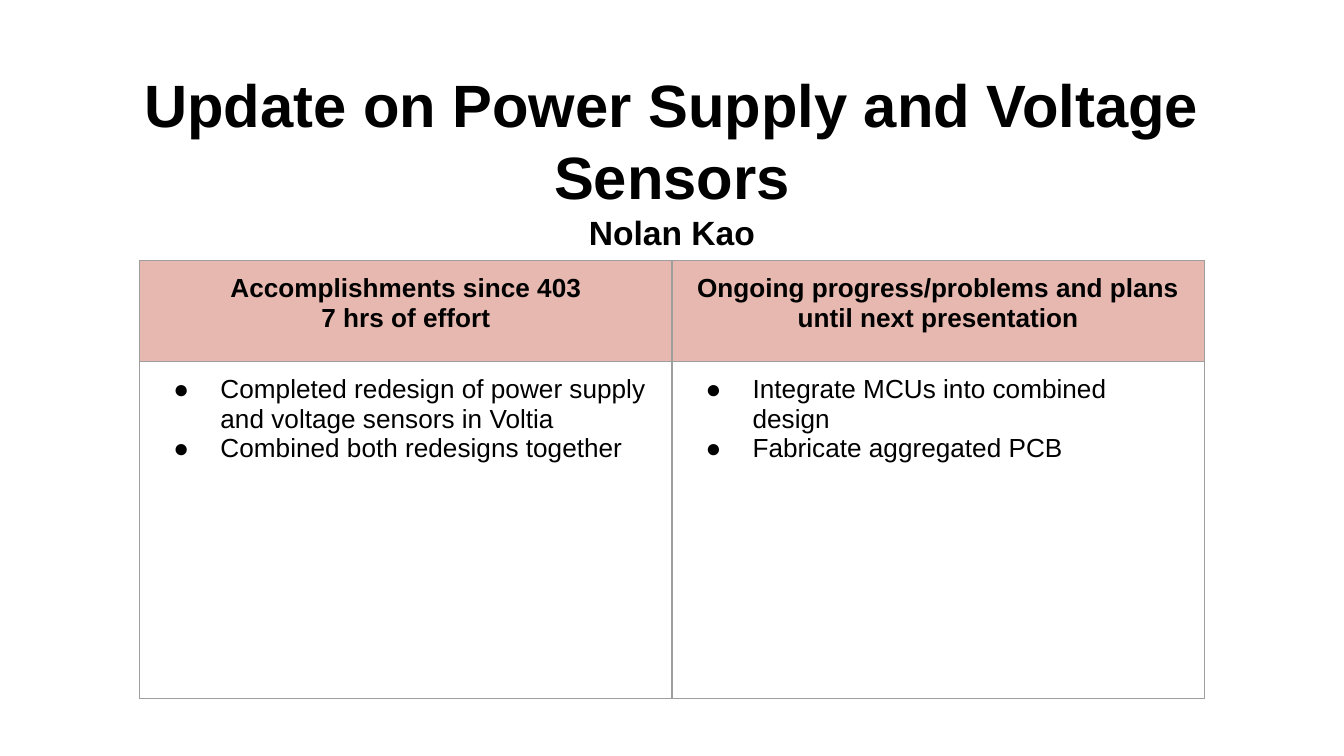
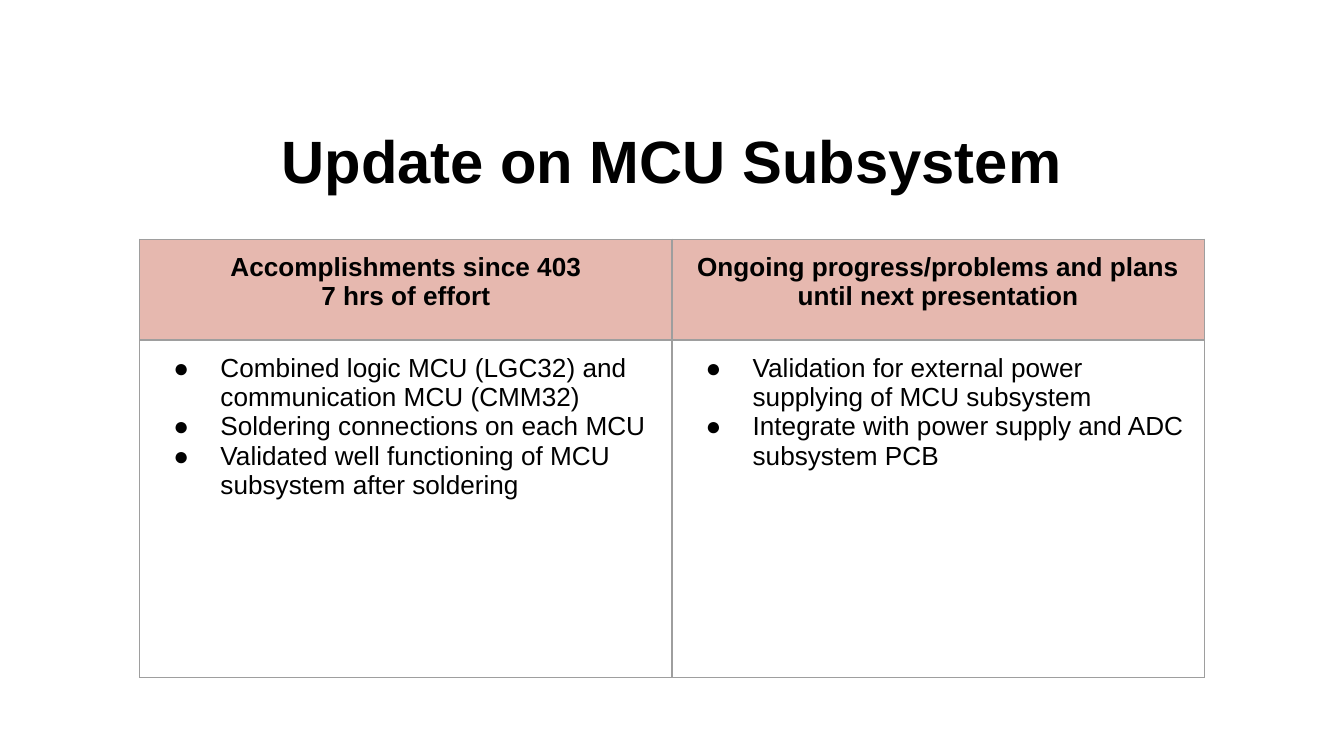
import dataclasses

import lxml.etree
import pptx
import pptx.dml.color
import pptx.enum.text
import pptx.oxml.ns
import pptx.util

Inches = pptx.util.Inches
Pt = pptx.util.Pt
CENTER = pptx.enum.text.PP_ALIGN.CENTER
qn = pptx.oxml.ns.qn


@dataclasses.dataclass(frozen=True)
class Theme:
    font: str = "Arial"
    ink: str = "000000"
    header_fill: str = "E6B8AF"
    border: str = "9E9E9E"
    border_width: float = 0.75
    title_size: int = 32
    presenter_size: int = 18
    table_size: int = 14
    inset: float = 0.1


THEME = Theme()
TITLE_ONLY = 5

# Content: title, presenter, table top, accomplishments, plans
HEADERS = [
    ["Accomplishments since 403", "7 hrs of effort"],
    ["Ongoing progress/problems and plans until next presentation"],
]
UPDATES = [
    ("Update on Power Supply and Voltage Sensors", "Nolan Kao", 1.94,
     ["Completed redesign of power supply and voltage sensors in Voltia",
      "Combined both redesigns together"],
     ["Integrate MCUs into combined design",
      "Fabricate aggregated PCB"]),
    ("Update on MCU Subsystem", None, 1.78,
     ["Combined logic MCU (LGC32) and communication MCU (CMM32)",
      "Soldering connections on each MCU",
      "Validated well functioning of MCU subsystem after soldering"],
     ["Validation for external power supplying of MCU subsystem",
      "Integrate with power supply and ADC subsystem PCB"]),
]


def rgb(color):
    return pptx.dml.color.RGBColor.from_string(color)


def add_run(paragraph, text, size, bold):
    run = paragraph.add_run()
    run.text = text
    run.font.name = THEME.font
    run.font.size = Pt(size)
    run.font.bold = bold
    run.font.color.rgb = rgb(THEME.ink)


def paragraphs_for(frame, lines):
    """Pair each line with a paragraph, starting with the existing one."""
    for index, line in enumerate(lines):
        yield (frame.add_paragraph() if index else frame.paragraphs[0]), line


def set_insets(target):
    target.margin_left = target.margin_right = Inches(THEME.inset)
    target.margin_top = target.margin_bottom = Inches(THEME.inset)


def set_title(slide, title, presenter):
    heading = slide.shapes.title
    heading.left, heading.top = Inches(0.5), Inches(0.86)
    heading.width, heading.height = Inches(9), Inches(0.66)
    frame = heading.text_frame
    frame.word_wrap = True
    frame.auto_size = pptx.enum.text.MSO_AUTO_SIZE.NONE
    frame.vertical_anchor = pptx.enum.text.MSO_ANCHOR.MIDDLE
    set_insets(frame)
    lines = [(title, THEME.title_size)]
    if presenter:
        lines.append((presenter, THEME.presenter_size))
    for paragraph, (text, size) in paragraphs_for(frame, lines):
        paragraph.alignment = CENTER
        add_run(paragraph, text, size, True)


def add_bullet(paragraph):
    properties = paragraph._p.get_or_add_pPr()
    properties.set("marL", str(Inches(0.5)))
    properties.set("indent", str(Inches(-0.35)))
    color = lxml.etree.SubElement(properties, qn("a:buClr"))
    lxml.etree.SubElement(color, qn("a:srgbClr"), val=THEME.ink)
    lxml.etree.SubElement(properties, qn("a:buFont"), typeface=THEME.font)
    lxml.etree.SubElement(properties, qn("a:buChar"), char="●")


def add_borders(cell):
    properties = cell._tc.get_or_add_tcPr()
    for position, side in enumerate(("lnL", "lnR", "lnT", "lnB")):
        line = lxml.etree.Element(qn(f"a:{side}"), w=str(Pt(THEME.border_width)))
        fill = lxml.etree.SubElement(line, qn("a:solidFill"))
        lxml.etree.SubElement(fill, qn("a:srgbClr"), val=THEME.border)
        properties.insert(position, line)


def fill_cell(cell, lines, is_header):
    set_insets(cell)
    if is_header:
        cell.fill.solid()
        cell.fill.fore_color.rgb = rgb(THEME.header_fill)
    else:
        cell.fill.background()
    add_borders(cell)
    for paragraph, text in paragraphs_for(cell.text_frame, lines):
        if is_header:
            paragraph.alignment = CENTER
        else:
            add_bullet(paragraph)
        add_run(paragraph, text, THEME.table_size, is_header)


def add_progress_table(slide, top, rows):
    column_width, row_heights = 3.96, (0.75, 2.51)
    progress = slide.shapes.add_table(
        2, 2, Inches(1.04), Inches(top),
        Inches(2 * column_width), Inches(sum(row_heights))).table
    progress.first_row = progress.horz_banding = False
    for column in progress.columns:
        column.width = Inches(column_width)
    for row, height in zip(progress.rows, row_heights):
        row.height = Inches(height)
    for row_index, row in enumerate(rows):
        for column_index, lines in enumerate(row):
            fill_cell(progress.cell(row_index, column_index), lines, row_index == 0)


def main():
    deck = pptx.Presentation()
    # Widescreen, 16:9
    deck.slide_width = Inches(10)
    deck.slide_height = deck.slide_width * 9 // 16
    for title, presenter, table_top, accomplishments, plans in UPDATES:
        slide = deck.slides.add_slide(deck.slide_layouts[TITLE_ONLY])
        set_title(slide, title, presenter)
        add_progress_table(slide, table_top, [HEADERS, [accomplishments, plans]])
    deck.save("out.pptx")


if __name__ == "__main__":
    main()
